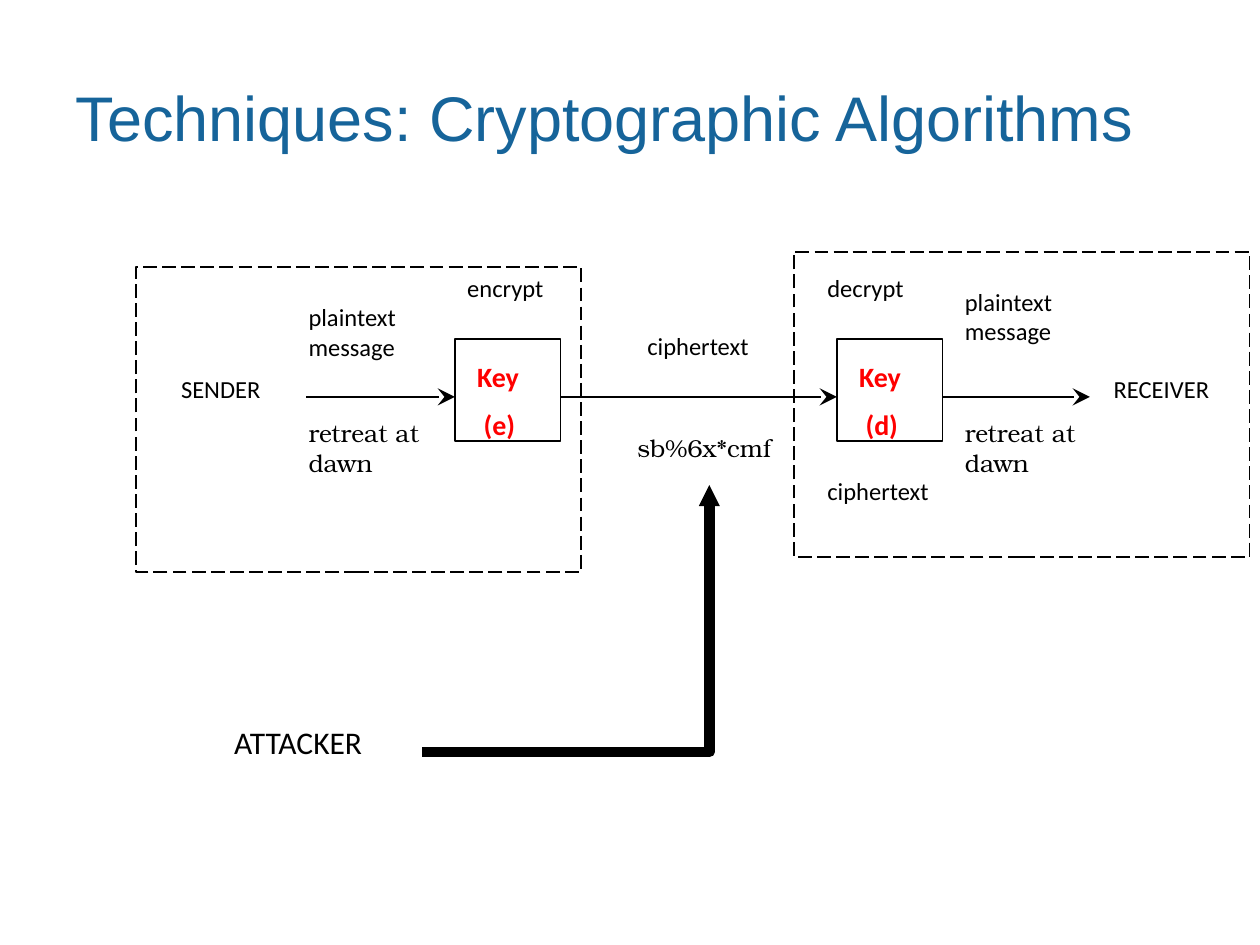
from pptx import Presentation
from pptx import util as u
from pptx.dml.color import RGBColor
from pptx.enum import dml, shapes, text
from pptx.oxml.ns import qn
from lxml import etree

Cm, Pt = u.Cm, u.Pt
THEME = {
    "blue": "16649A", "black": "000000", "red": "FF0000",
    "sans": "Calibri", "code": "TeX Gyre Bonum", "head": "Arial",
    "title": 36, "key": 16, "label": 14, "big": 18,
}

# Content: all lengths in centimetres
TITLE = "Techniques: Cryptographic Algorithms"
FRAMES = [(2.74, 5.38, 8.97, 6.15), (16, 5.08, 9.19, 6.15)]
KEYS = [("(e)", 9.17), ("(d)", 16.87)]
KEY_TOP, KEY_W, KEY_H = 6.83, 2.13, 2.06
LINE, TWO = 0.84, 1.45  # heights of one-line and two-line labels
LABELS = [  # text, left, top, width, height, font, size
    ("SENDER", 3.4, 7.42, 2.77, LINE, "sans", "label"),
    ("RECEIVER", 22.2, 7.42, 3.2, LINE, "sans", "label"),
    ("encrypt", 9.17, 5.38, 2.36, LINE, "sans", "label"),
    ("decrypt", 16.43, 5.38, 2.57, LINE, "sans", "label"),
    ("ciphertext", 12.8, 6.55, 3, LINE, "sans", "label"),
    ("ciphertext", 16.43, 9.47, 3, LINE, "sans", "label"),
    ("sb%6x*cmf", 12.6, 8.61, 3.4, LINE, "code", "label"),
    ("ATTACKER", 4.47, 14.45, 4.06, 1.02, "sans", "big"),
]
for left, top in [(5.97, 5.97), (19.2, 5.66)]:
    LABELS += [
        ("plaintext message", left, top, 2.57, TWO, "sans", "label"),
        ("retreat at dawn", left, 8.31, 3, TWO, "code", "label"),
    ]
FLOW_Y = 8
FLOWS = [(6.17, KEYS[0][1]), (KEYS[0][1] + KEY_W, KEYS[1][1]),
         (KEYS[1][1] + KEY_W, 21.97)]
ATTACK = (8.51, 15.16, 14.3, 9.78)


def tint(name):
    return RGBColor.from_string(THEME[name])


def style(font, face, size, color, bold=False):
    form = {"name": THEME[face], "size": Pt(THEME[size]), "bold": bold}
    for key, val in form.items():
        setattr(font, key, val)
    font.color.rgb = tint(color)


def box(at, dash=None):
    part = slide.shapes.add_shape(shapes.MSO_SHAPE.RECTANGLE, *map(Cm, at))
    part.shadow.inherit = False
    part.fill.background()
    part.line.color.rgb = tint("black")
    part.line.width = Pt(1)
    if dash:
        part.line.dash_style = dash


def label(lines, at, face, size, color="black", bold=False):
    frame = slide.shapes.add_textbox(*map(Cm, at)).text_frame
    frame.word_wrap = True
    frame.text = "\n".join(lines)
    for para in frame.paragraphs:
        style(para.font, face, size, color, bold)
    return frame.paragraphs


def arrow(ends, kind, width, head, size):
    link = slide.shapes.add_connector(kind, *map(Cm, ends))
    link.line.color.rgb = tint("black")
    link.line.width = Pt(width)
    tail = etree.SubElement(link.line._get_or_add_ln(), qn("a:tailEnd"))
    for key, val in {"type": head, "w": size, "len": size}.items():
        tail.set(key, val)
    etree.SubElement(link._element.spPr, qn("a:effectLst"))
    return link


deck = Presentation()
deck.slide_width, deck.slide_height = Cm(25.4), Cm(19.05)
slide = deck.slides.add_slide(deck.slide_layouts[5])

# Title
title = slide.shapes.title
for key, val in zip(("left", "top", "width", "height"),
                    (1.27, 0.76, 22.86, 3.18)):
    setattr(title, key, Cm(val))
title.text_frame.text = TITLE
title.text_frame.vertical_anchor = text.MSO_ANCHOR.MIDDLE
head = title.text_frame.paragraphs[0]
head.alignment = text.PP_ALIGN.LEFT
style(head.runs[0].font, "head", "title", "blue")

# Sender and receiver areas
for at in FRAMES:
    box(at, dml.MSO_LINE.LONG_DASH)

# Key boxes
for name, left in KEYS:
    box((left, KEY_TOP, KEY_W, KEY_H))
    paras = label(["Key", name], (left + 0.2, KEY_TOP + 0.3, 1.7, 1.96),
                  "sans", "key", "red", True)
    paras[1].space_before = Pt(8)
    paras[1]._p.get_or_add_pPr().set("marL", str(Cm(0.13)))

# Labels
for name, *at, face, size in LABELS:
    label([name], at, face, size)

# Message flow and attack path
for start, end in FLOWS:
    arrow((start, FLOW_Y, end, FLOW_Y), shapes.MSO_CONNECTOR.STRAIGHT,
          1, "stealth", "lg")
bent = arrow(ATTACK, shapes.MSO_CONNECTOR.ELBOW, 6, "triangle", "sm")
bent._element.spPr.find(qn("a:prstGeom")).set("prst", "bentConnector2")

deck.save("out.pptx")
